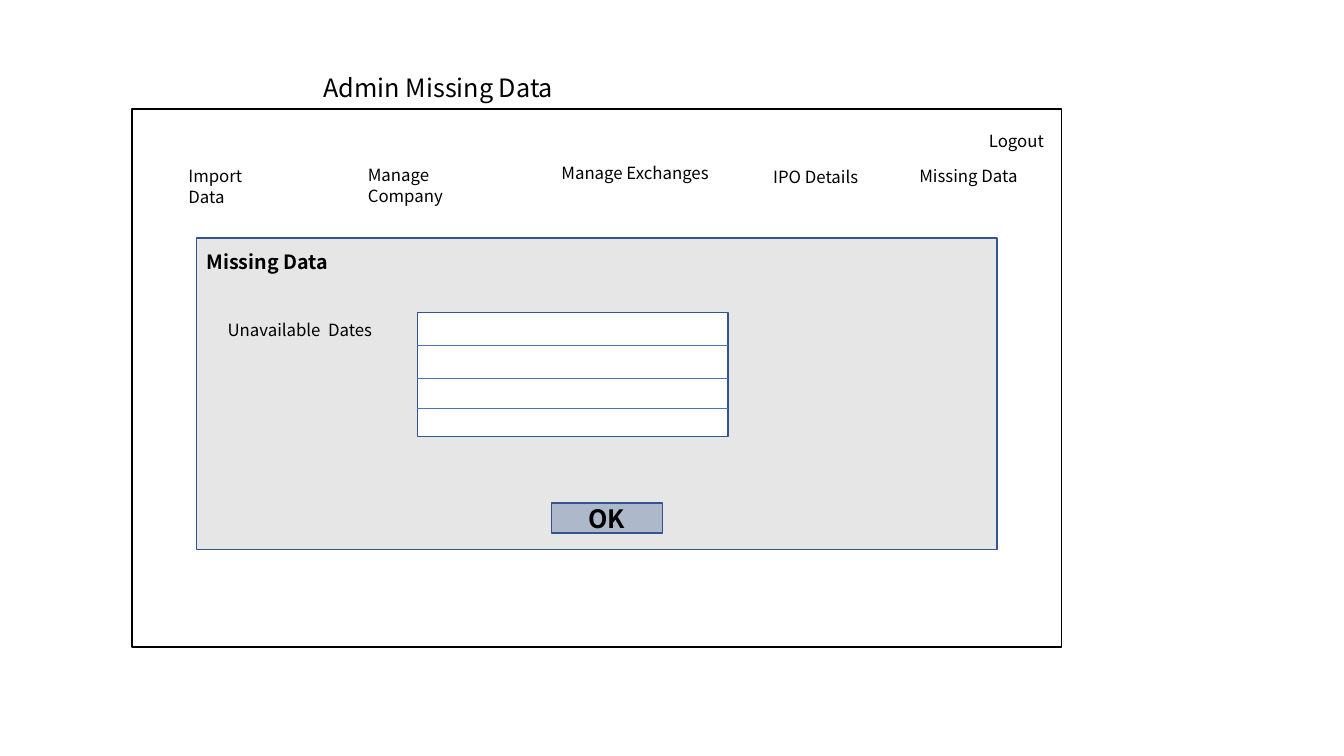
"""Build the Admin Missing Data wireframe slide."""
import pptx
import pptx.dml.color
import pptx.enum.shapes
import pptx.enum.text
import pptx.oxml
import pptx.oxml.ns
import pptx.util

Inches = pptx.util.Inches
Pt = pptx.util.Pt
RGBColor = pptx.dml.color.RGBColor
ALIGN = pptx.enum.text.PP_ALIGN
ANCHOR = pptx.enum.text.MSO_ANCHOR

FONT = "Noto Sans CJK SC"
BLACK = RGBColor(0x00, 0x00, 0x00)
WHITE = RGBColor(0xFF, 0xFF, 0xFF)
GRAY = RGBColor(0xE7, 0xE6, 0xE6)
SLATE = RGBColor(0xAD, 0xB9, 0xCA)
NAVY = RGBColor(0x32, 0x54, 0x91)
BLUE = RGBColor(0x44, 0x72, 0xC4)


class Wireframe:
    def __init__(self, prs):
        self.slide = prs.slides.add_slide(prs.slide_layouts[5])

    def set_text(self, sp, text, size, bold=False, align=ALIGN.LEFT, anchor=ANCHOR.TOP):
        tf = sp.text_frame
        tf.text = text
        tf.word_wrap = True
        tf.auto_size = pptx.enum.text.MSO_AUTO_SIZE.NONE
        tf.vertical_anchor = anchor
        p = tf.paragraphs[0]
        p.alignment = align
        font = p.runs[0].font
        font.name = FONT
        font.size = Pt(size)
        font.bold = bold
        font.color.rgb = BLACK

    def title(self, text, x, y, w, h):
        sp = self.slide.shapes.title
        sp.left, sp.top, sp.width, sp.height = map(Inches, (x, y, w, h))
        self.set_text(sp, text, 18)

    def label(self, text, x, y, w, h=0.3, size=12, bold=False):
        sp = self.slide.shapes.add_textbox(*map(Inches, (x, y, w, h)))
        self.set_text(sp, text, size, bold)

    def box(self, x, y, w, h, fill, line):
        sp = self.slide.shapes.add_shape(
            pptx.enum.shapes.MSO_SHAPE.RECTANGLE, *map(Inches, (x, y, w, h)))
        sp.shadow.inherit = False
        sp.fill.solid()
        sp.fill.fore_color.rgb = fill
        sp.line.color.rgb = line
        sp.line.width = Pt(1)
        return sp

    def button(self, text, x, y, w, h):
        sp = self.box(x, y, w, h, SLATE, NAVY)
        self.set_text(sp, text, 18, True, ALIGN.CENTER, ANCHOR.MIDDLE)

    def rule(self, x1, x2, y):
        line = self.slide.shapes.add_connector(
            pptx.enum.shapes.MSO_CONNECTOR.STRAIGHT, *map(Inches, (x1, y, x2, y)))
        line.line.color.rgb = BLUE
        line.line.width = Pt(0.5)
        line._element.spPr.append(pptx.oxml.parse_xml(
            "<a:effectLst %s/>" % pptx.oxml.ns.nsdecls("a")))


def main():
    prs = pptx.Presentation()
    prs.slide_width, prs.slide_height = Inches(13.33), Inches(7.5)
    page = Wireframe(prs)

    page.title("Admin Missing Data", 3.11, 0.67, 5.7, 0.4)
    page.box(1.31, 1.08, 9.22, 5.34, WHITE, BLACK)
    for text, x, y, w in (
        ("Import Data", 1.77, 1.6, 1.07),
        ("Manage Company", 3.55, 1.59, 1.56),
        ("Manage Exchanges", 5.47, 1.57, 1.75),
        ("IPO Details", 7.57, 1.61, 1.16),
        ("Missing Data", 9.02, 1.6, 1.27),
        ("Logout", 9.71, 1.25, 1.07),
    ):
        page.label(text, x, y, w)

    page.box(1.95, 2.36, 7.94, 3.09, GRAY, NAVY)
    page.label("Missing Data", 1.95, 2.43, 2.46, 0.34, 14, True)
    page.label("Unavailable  Dates", 2.16, 3.12, 1.66)
    left, width = 4.14, 3.08
    page.box(left, 3.1, width, 1.23, WHITE, NAVY)
    for y in (3.43, 3.75, 4.05):
        page.rule(left, left + width, y)
    page.button("OK", 5.47, 4.99, 1.1, 0.3)

    prs.save("out.pptx")


if __name__ == "__main__":
    main()
